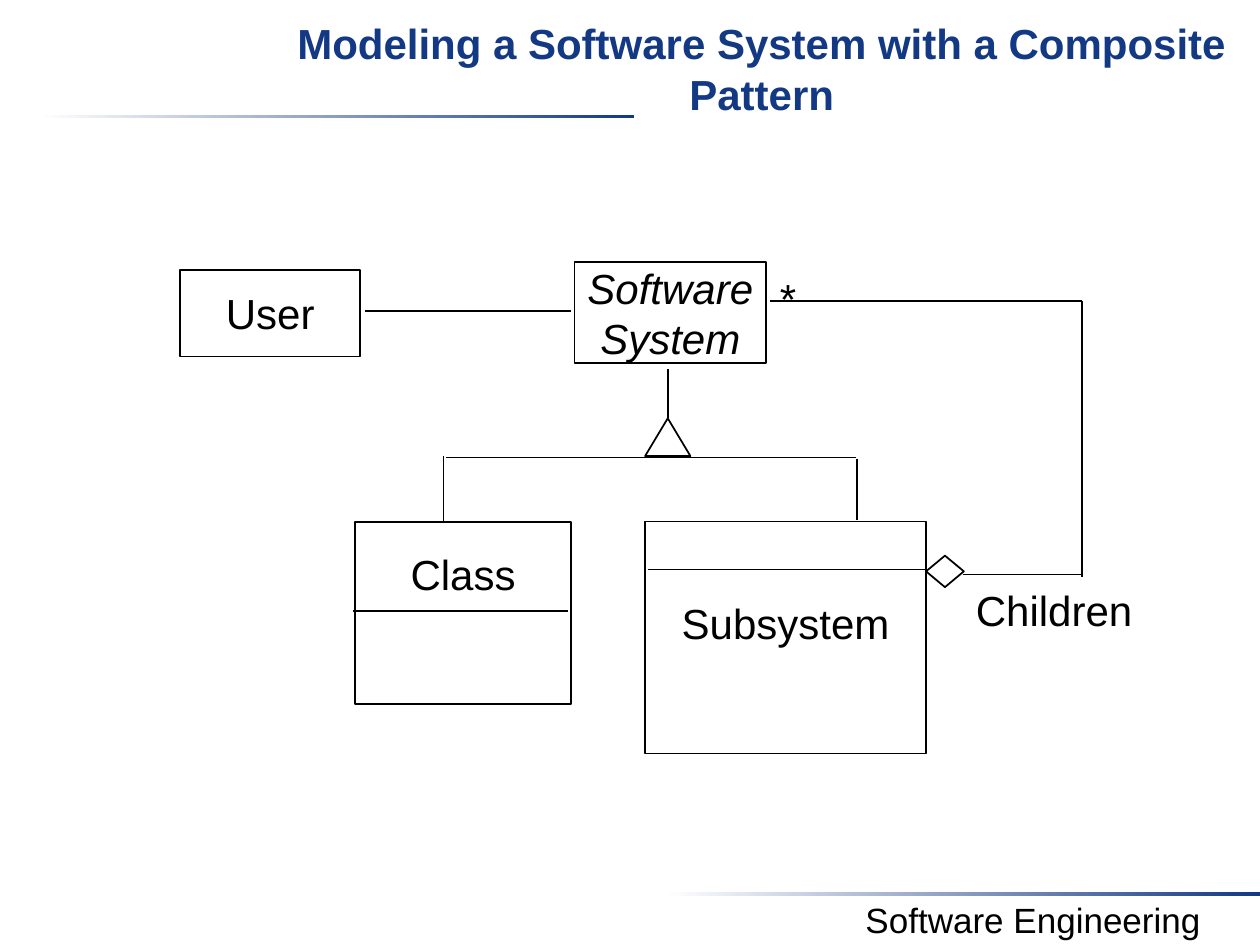
from dataclasses import dataclass

from lxml.etree import SubElement
from pptx import Presentation
from pptx.dml.color import RGBColor
from pptx.enum.shapes import MSO_CONNECTOR, MSO_SHAPE
from pptx.enum.text import MSO_ANCHOR, MSO_AUTO_SIZE, PP_ALIGN
from pptx.oxml.ns import qn
from pptx.slide import Slide
from pptx.text.text import TextFrame
from pptx.util import Inches, Pt

NAVY = RGBColor(0x13, 0x39, 0x84)
BLACK = RGBColor(0, 0, 0)
WHITE = RGBColor(255, 255, 255)


@dataclass(frozen=True)
class Node:
    left: float
    top: float
    width: float
    height: float
    text: str = ""
    preset: MSO_SHAPE = MSO_SHAPE.RECTANGLE
    italic: bool = False
    text_offset: float | None = None


@dataclass(frozen=True)
class Label:
    left: float
    top: float
    width: float
    height: float
    text: str
    size: int = 24
    wrap: bool = False


@dataclass(frozen=True)
class Line:
    start: tuple[float, float]
    end: tuple[float, float]


ACCENT_BARS = [(0.31, 0.91), (5.28, 7.08)]

NODES = [
    Node(4.56, 2.08, 1.52, 0.8, "Software\nSystem", italic=True),
    Node(2.82, 4.14, 1.71, 1.45, "Class", text_offset=0.21),
    Node(5.12, 4.14, 2.23, 1.84, "Subsystem", text_offset=0.6),
    Node(5.12, 3.32, 0.36, 0.3, preset=MSO_SHAPE.ISOSCELES_TRIANGLE),
    Node(7.35, 4.41, 0.3, 0.25, preset=MSO_SHAPE.DIAMOND),
    Node(1.43, 2.14, 1.43, 0.69, "User"),
]

LINES = [
    Line((5.3, 2.93), (5.3, 3.32)),
    Line((3.54, 3.63), (6.79, 3.63)),
    Line((6.8, 3.64), (6.8, 4.13)),
    Line((3.52, 3.62), (3.52, 4.14)),
    Line((7.64, 4.56), (8.58, 4.56)),
    Line((8.59, 4.58), (8.59, 2.39)),
    Line((8.59, 2.39), (6.11, 2.39)),
    Line((5.14, 4.52), (7.35, 4.52)),
    Line((2.8, 4.85), (4.51, 4.85)),
    Line((2.9, 2.47), (4.53, 2.47)),
]

LABELS = [
    Label(6.4, 7.08, 3.6, 0.44, "Software Engineering", size=20, wrap=True),
    Label(7.64, 4.59, 1.45, 0.5, "Children"),
    Label(6.09, 2.11, 0.33, 0.5, "*"),
]


def write_text(
    text_frame: TextFrame,
    text: str,
    *,
    size: int = 24,
    color: RGBColor = BLACK,
    bold: bool = False,
    italic: bool = False,
    wrap: bool = False,
    anchor: MSO_ANCHOR = MSO_ANCHOR.TOP,
    top_inset: float = 0.05,
) -> None:
    text_frame.text = text
    text_frame.auto_size = MSO_AUTO_SIZE.NONE
    text_frame.word_wrap = wrap
    text_frame.vertical_anchor = anchor
    text_frame.margin_top = Inches(top_inset)
    text_frame.margin_bottom = Inches(0.05)
    for paragraph in text_frame.paragraphs:
        paragraph.alignment = PP_ALIGN.CENTER
        for run in paragraph.runs:
            run.font.name = "Arial"
            run.font.size = Pt(size)
            run.font.bold = bold
            run.font.italic = italic
            run.font.color.rgb = color


def add_title(slide: Slide, text: str) -> None:
    title = slide.shapes.title
    title.left, title.top = Inches(2.17), Inches(0.08)
    title.width, title.height = Inches(7.75), Inches(0.75)
    write_text(title.text_frame, text, color=NAVY, bold=True, wrap=True, top_inset=0.06)


def add_accent_bar(slide: Slide, left: float, top: float) -> None:
    shape = slide.shapes.add_shape(
        MSO_SHAPE.RECTANGLE, Inches(left), Inches(top), Inches(4.72), Inches(0.03)
    )
    shape.shadow.inherit = False
    shape.line.fill.background()
    shape.fill.gradient()
    shape.fill.gradient_angle = 0
    for stop, color in zip(shape.fill.gradient_stops, (WHITE, NAVY)):
        stop.color.rgb = color


def add_node(slide: Slide, node: Node) -> None:
    shape = slide.shapes.add_shape(
        node.preset,
        Inches(node.left),
        Inches(node.top),
        Inches(node.width),
        Inches(node.height),
    )
    shape.shadow.inherit = False
    shape.fill.solid()
    shape.fill.fore_color.rgb = WHITE
    shape.line.color.rgb = BLACK
    shape.line.width = Pt(1)
    if not node.text:
        return
    if node.text_offset is None:
        write_text(
            shape.text_frame, node.text, italic=node.italic, anchor=MSO_ANCHOR.MIDDLE
        )
    else:
        write_text(
            shape.text_frame, node.text, italic=node.italic, top_inset=node.text_offset
        )


def add_line(slide: Slide, line: Line) -> None:
    points = [Inches(value) for value in (*line.start, *line.end)]
    connector = slide.shapes.add_connector(MSO_CONNECTOR.STRAIGHT, *points)
    connector.line.color.rgb = BLACK
    connector.line.width = Pt(1)
    SubElement(connector._element.spPr, qn("a:effectLst"))


def add_label(slide: Slide, label: Label) -> None:
    text_box = slide.shapes.add_textbox(
        Inches(label.left), Inches(label.top), Inches(label.width), Inches(label.height)
    )
    write_text(text_box.text_frame, label.text, size=label.size, wrap=label.wrap)


def main() -> None:
    presentation = Presentation()
    presentation.slide_width = Inches(10)
    presentation.slide_height = Inches(7.5)
    slide = presentation.slides.add_slide(presentation.slide_layouts[5])
    add_title(slide, "Modeling a Software System with a Composite Pattern")
    for left, top in ACCENT_BARS:
        add_accent_bar(slide, left, top)
    for node in NODES:
        add_node(slide, node)
    for line in LINES:
        add_line(slide, line)
    for label in LABELS:
        add_label(slide, label)
    presentation.save("out.pptx")


if __name__ == "__main__":
    main()
